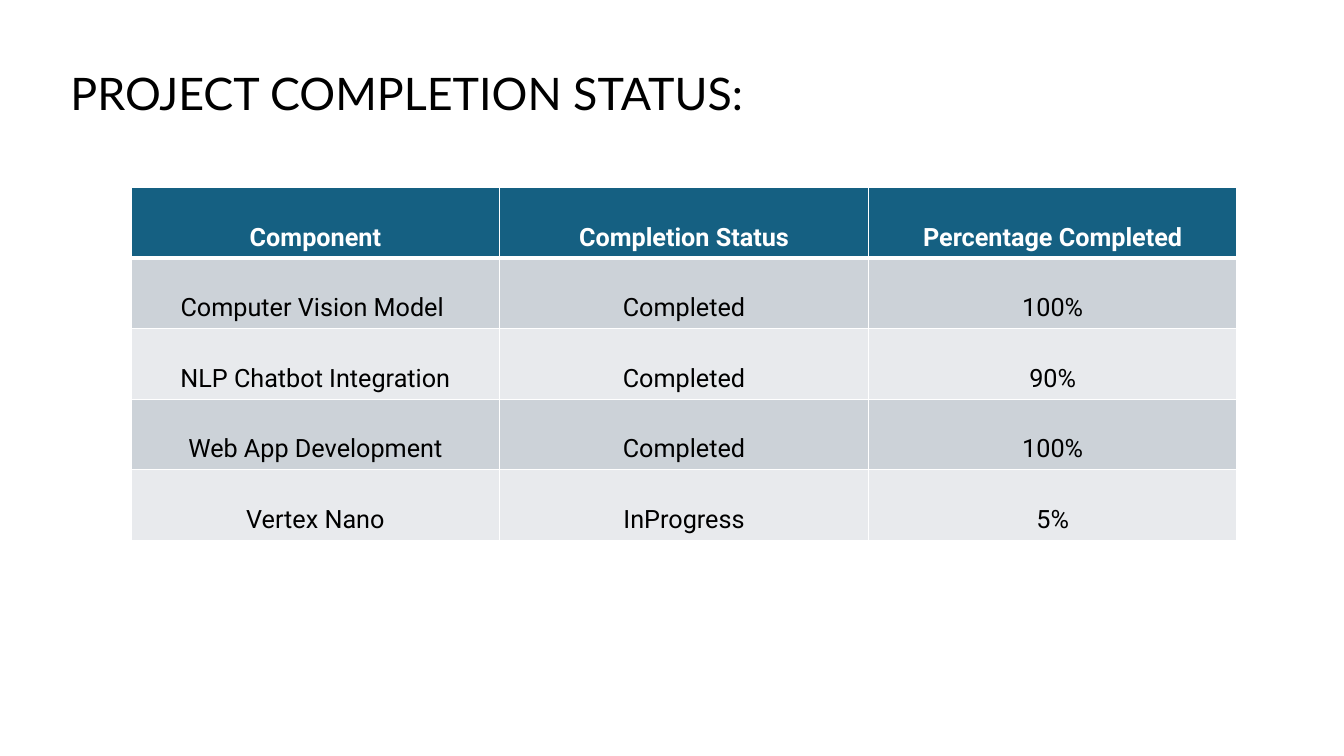
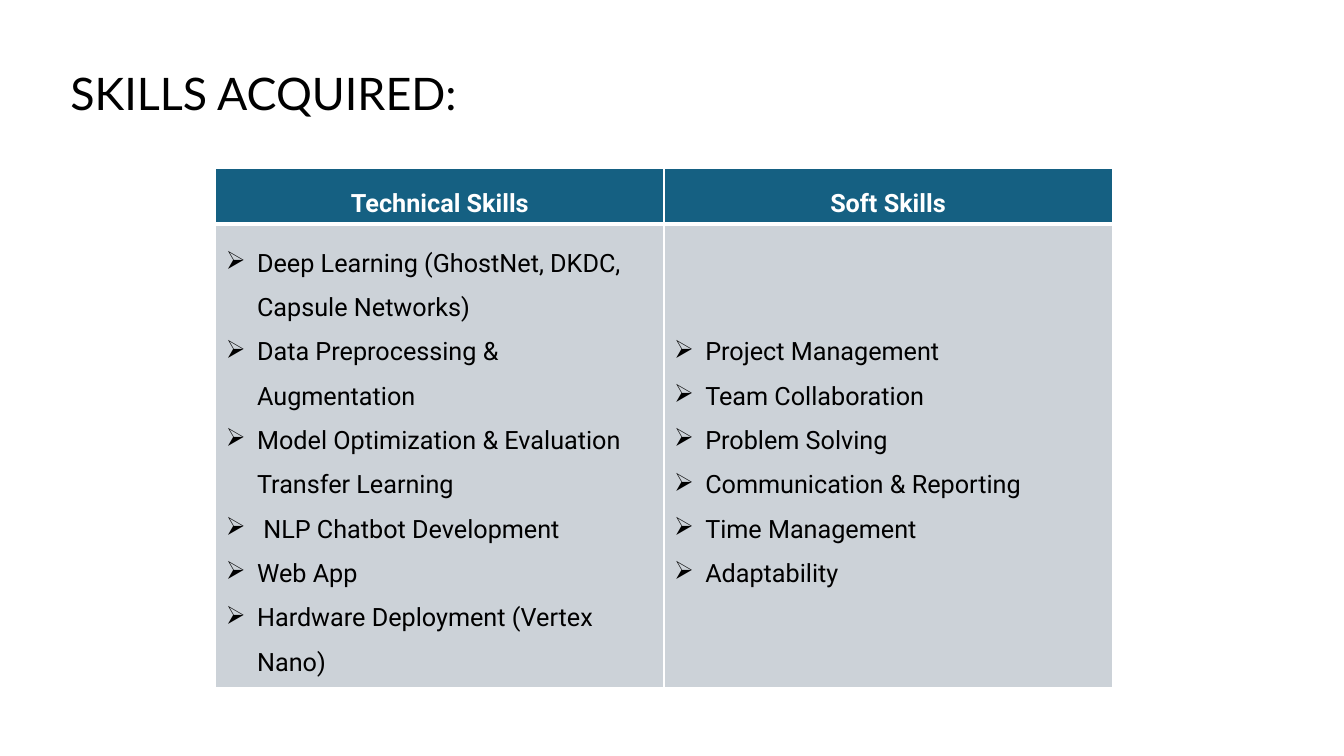
from lxml.etree import SubElement
from pptx import Presentation
from pptx.dml.color import RGBColor
from pptx.enum.text import MSO_ANCHOR, MSO_AUTO_SIZE, PP_ALIGN
from pptx.oxml.ns import qn
from pptx.util import Inches, Pt

# Content
STATUS_TITLE = "PROJECT COMPLETION STATUS:"
STATUS_ROWS = [
    ("Component", "Completion Status", "Percentage Completed"),
    ("Computer Vision Model ", "Completed", "100%"),
    ("NLP Chatbot Integration", "Completed", "90%"),
    ("Web App Development", "Completed", "100%"),
    ("Vertex Nano", "InProgress", "5%"),
]
SKILLS_TITLE = "SKILLS ACQUIRED:"
SKILLS = {
    "Technical Skills": [
        "Deep Learning (GhostNet, DKDC, Capsule Networks)",
        "Data Preprocessing & Augmentation",
        "Model Optimization & Evaluation Transfer Learning",
        " NLP Chatbot Development",
        "Web App",
        "Hardware Deployment (Vertex Nano)",
    ],
    "Soft Skills": [
        "Project Management",
        "Team Collaboration",
        "Problem Solving",
        "Communication & Reporting",
        "Time Management",
        "Adaptability",
    ],
}

# Shared style
WIDTH, HEIGHT = 13.33, 7.5
MARGIN = 0.6
TITLE_FONT, BODY_FONT = "Lato", "Roboto"
TITLE_SIZE, BODY_SIZE = Pt(32), Pt(18)
BLACK = RGBColor(0x00, 0x00, 0x00)
WHITE = RGBColor(0xFF, 0xFF, 0xFF)
HEADER_BLUE = RGBColor(0x15, 0x60, 0x82)
BANDS = [RGBColor(0xCC, 0xD2, 0xD8), RGBColor(0xE8, 0xEA, 0xED)]
BULLET, BULLET_INDENT = "➢", Inches(0.31)


def add_titled_slide(deck, title):
    slide = deck.slides.add_slide(deck.slide_layouts[6])
    box = slide.shapes.add_textbox(
        Inches(MARGIN), Inches(MARGIN), Inches(WIDTH - 2 * MARGIN), Inches(0.64))
    frame = box.text_frame
    frame.word_wrap = True
    frame.auto_size = MSO_AUTO_SIZE.SHAPE_TO_FIT_TEXT
    heading = frame.paragraphs[0]
    heading.text = title
    heading.font.name, heading.font.size = TITLE_FONT, TITLE_SIZE
    heading.font.color.rgb = BLACK
    return slide


def set_borders(cell, bottom):
    props = cell._tc.get_or_add_tcPr()
    for position, side in enumerate(("lnL", "lnR", "lnT", "lnB")):
        width = bottom if side == "lnB" else Pt(1)
        line = SubElement(props, qn(f"a:{side}"), w=str(int(width)))
        fill = SubElement(line, qn("a:solidFill"))
        SubElement(fill, qn("a:srgbClr"), val=str(WHITE))
        props.insert(position, line)  # borders come before the fill


def add_bullet(paragraph):
    props = paragraph._p.get_or_add_pPr()
    props.set("marL", str(int(BULLET_INDENT)))
    props.set("indent", str(-int(BULLET_INDENT)))
    SubElement(props, qn("a:buChar"), char=BULLET)


def fill_cell(cell, content, is_header, band, spacing):
    """A string is one centred line; a list becomes bullets."""
    bulleted = isinstance(content, list)
    cell.text = "\n".join(content) if bulleted else content
    cell.vertical_anchor = MSO_ANCHOR.MIDDLE
    cell.fill.solid()
    cell.fill.fore_color.rgb = HEADER_BLUE if is_header else band
    set_borders(cell, Pt(3) if is_header else Pt(1))
    for paragraph in cell.text_frame.paragraphs:
        paragraph.line_spacing = spacing
        paragraph.alignment = PP_ALIGN.LEFT if bulleted else PP_ALIGN.CENTER
        font = paragraph.font
        font.name, font.size, font.bold = BODY_FONT, BODY_SIZE, is_header
        font.color.rgb = WHITE if is_header else BLACK
        if bulleted:
            add_bullet(paragraph)


def add_banded_table(slide, rows, left, top, width, row_heights, spacing):
    columns = len(rows[0])
    table = slide.shapes.add_table(
        len(rows), columns, Inches(left), Inches(top),
        Inches(width), Inches(sum(row_heights))).table
    for column in table.columns:
        column.width = Inches(width / columns)
    for r, (contents, height) in enumerate(zip(rows, row_heights)):
        table.rows[r].height = Inches(height)
        for c, content in enumerate(contents):
            fill_cell(table.cell(r, c), content, r == 0,
                      BANDS[(r - 1) % len(BANDS)], spacing)


def main():
    deck = Presentation()
    deck.slide_width, deck.slide_height = Inches(WIDTH), Inches(HEIGHT)

    # Completion status
    add_banded_table(add_titled_slide(deck, STATUS_TITLE), STATUS_ROWS,
                     1.3, 1.86, 10.97, [0.7] * len(STATUS_ROWS), 2.0)

    # Skills: one column per group
    add_banded_table(add_titled_slide(deck, SKILLS_TITLE),
                     [list(SKILLS), list(SKILLS.values())],
                     2.14, 1.67, 8.89, [0.55, 4.59], 1.5)

    deck.save("out.pptx")


if __name__ == "__main__":
    main()
